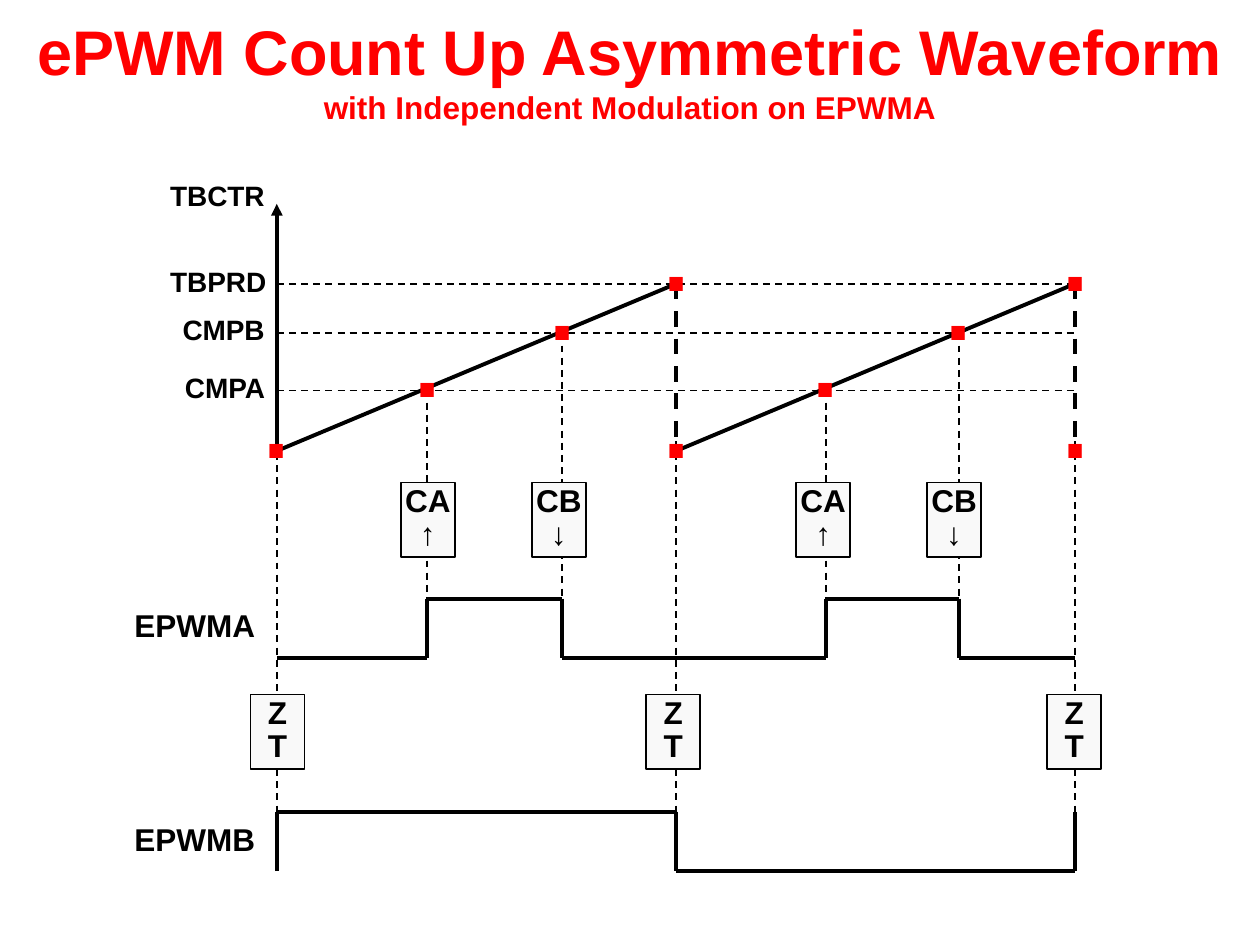
from itertools import pairwise

from pptx import Presentation
from pptx.dml.color import RGBColor
from pptx.enum.dml import MSO_LINE
from pptx.enum.shapes import MSO_CONNECTOR, MSO_SHAPE
from pptx.enum.text import MSO_ANCHOR, MSO_AUTO_SIZE, PP_ALIGN
from pptx.oxml.ns import qn
from pptx.util import Cm, Pt
from lxml.etree import SubElement


def color(hex_string):
    return RGBColor.from_string(hex_string)


def write(paragraph, text, size=18, ink="000000", align=PP_ALIGN.LEFT,
          spacing=0.8, before=0):
    paragraph.alignment = align
    paragraph.line_spacing = spacing
    paragraph.space_before = Pt(before)
    run = paragraph.add_run()
    run.text = text
    run.font.name = "Arial"
    run.font.size = Pt(size)
    run.font.bold = True
    run.font.color.rgb = color(ink)


class Diagram:
    ink, accent, box_fill = "000000", "FF0000", "F9F9F9"
    thin, thick = 1, 2.25
    box_width, box_height = 1.09, 1.5

    def __init__(self, slide):
        self.slide = slide

    def title(self, heading, subtitle):
        shape = self.slide.shapes.title
        shape.left, shape.top = Cm(0), Cm(0)
        shape.width, shape.height = Cm(25.4), Cm(2.06)
        frame = shape.text_frame
        frame.auto_size = MSO_AUTO_SIZE.NONE
        frame.vertical_anchor = MSO_ANCHOR.TOP
        frame.margin_top = Cm(0.25)
        paragraph = frame.paragraphs[0]
        style = dict(ink=self.accent, align=PP_ALIGN.CENTER, spacing=1.0)
        write(paragraph, heading, size=36, **style)
        paragraph.add_line_break()
        write(paragraph, subtitle, size=18, **style)

    def line(self, start, end, width=thick, dashed=False, arrow=False):
        connector = self.slide.shapes.add_connector(
            MSO_CONNECTOR.STRAIGHT, *map(Cm, start + end))
        connector.line.color.rgb = color(self.ink)
        connector.line.width = Pt(width)
        if dashed:
            connector.line.dash_style = MSO_LINE.DASH
        if arrow:
            SubElement(connector.line._get_or_add_ln(), qn("a:headEnd"), type="triangle")
        SubElement(connector._element.spPr, qn("a:effectLst"))

    def guide(self, start, end):
        self.line(start, end, width=self.thin, dashed=True)

    def waveform(self, points):
        for start, end in pairwise(points):
            self.line(start, end)

    def label(self, text, left, top, width, height, **style):
        shape = self.slide.shapes.add_textbox(*map(Cm, (left, top, width, height)))
        shape.text_frame.word_wrap = False
        shape.text_frame.auto_size = MSO_AUTO_SIZE.SHAPE_TO_FIT_TEXT
        write(shape.text_frame.paragraphs[0], text, **style)

    def marker(self, x, y):
        self.label(".", x - 0.51, y - 1.44, 0.99, 2.11, size=54, ink=self.accent)

    def event_box(self, left, top, upper, lower):
        shape = self.slide.shapes.add_shape(
            MSO_SHAPE.RECTANGLE,
            *map(Cm, (left, top, self.box_width, self.box_height)))
        shape.shadow.inherit = False
        shape.fill.solid()
        shape.fill.fore_color.rgb = color(self.box_fill)
        shape.line.color.rgb = color(self.ink)
        shape.line.width = Pt(self.thin)
        frame = shape.text_frame
        frame.word_wrap = False
        frame.vertical_anchor = MSO_ANCHOR.MIDDLE
        frame.margin_left = frame.margin_right = Cm(0)
        frame.margin_top = frame.margin_bottom = Cm(0)
        write(frame.paragraphs[0], upper, align=PP_ALIGN.CENTER)
        write(frame.add_paragraph(), lower, align=PP_ALIGN.CENTER, before=1.8)


def main():
    presentation = Presentation()
    presentation.slide_width, presentation.slide_height = Cm(25.4), Cm(19.05)
    slide = presentation.slides.add_slide(presentation.slide_layouts[5])
    diagram = Diagram(slide)
    diagram.title("ePWM Count Up Asymmetric Waveform",
                  "with Independent Modulation on EPWMA")

    # Event times and counter levels
    zeros = (5.58, 13.63, 21.67)
    compare_a = (8.61, 16.65)
    compare_b = (11.33, 19.33)
    axis_top, period, level_b, level_a, zero = 4.11, 5.72, 6.72, 7.87, 9.09
    a_high, a_low = 12.07, 13.27
    b_high, b_low = 16.36, 17.56

    # Vertical guides from the counter to the outputs
    for x in zeros:
        diagram.guide((x, 8.89), (x, b_high))
    for times, level in ((compare_a, level_a), (compare_b, level_b)):
        for x in times:
            diagram.guide((x, level), (x, a_high))

    # Event boxes
    for left in (8.08, 16.05):
        diagram.event_box(left, 9.73, "CA", "↑")
        diagram.event_box(left + 2.64, 9.73, "CB", "↓")
    for left in (5.05, 13.03, 21.11):
        diagram.event_box(left, 14.0, "Z", "T")

    # Output waveforms
    output_a = [(zeros[0], a_low)]
    for rise, fall in zip(compare_a, compare_b):
        output_a += [(rise, a_low), (rise, a_high), (fall, a_high), (fall, a_low)]
    diagram.waveform(output_a + [(zeros[2], a_low)])
    diagram.waveform([(zeros[0], b_low), (zeros[0], b_high), (zeros[1], b_high),
                      (zeros[1], b_low), (zeros[2], b_low), (zeros[2], b_high)])

    # Counter axis, levels and ramps
    for level in (period, level_b, level_a):
        diagram.guide((zeros[0], level), (zeros[2], level))
    for start, end in pairwise(zeros):
        diagram.line((start, zero), (end, period))
        diagram.line((end, period), (end, zero), dashed=True)
    diagram.line((zeros[0], axis_top), (zeros[0], zero), arrow=True)

    # Names
    for text, left, top, width in (("TBCTR", 3.18, 3.61, 2.41),
                                   ("TBPRD", 3.18, 5.33, 2.44),
                                   ("CMPB", 3.43, 6.3, 2.18),
                                   ("CMPA", 3.48, 7.47, 2.13)):
        diagram.label(text, left, top, width, 0.8, size=16)
    for text, top in (("EPWMA", 12.24), ("EPWMB", 16.56)):
        diagram.label(text, 2.46, top, 2.95, 0.86)

    # Markers on the counter
    for times, level in ((zeros, zero), (compare_a, level_a),
                         (compare_b, level_b), (zeros[1:], period)):
        for x in times:
            diagram.marker(x, level)

    presentation.save("out.pptx")


if __name__ == "__main__":
    main()
